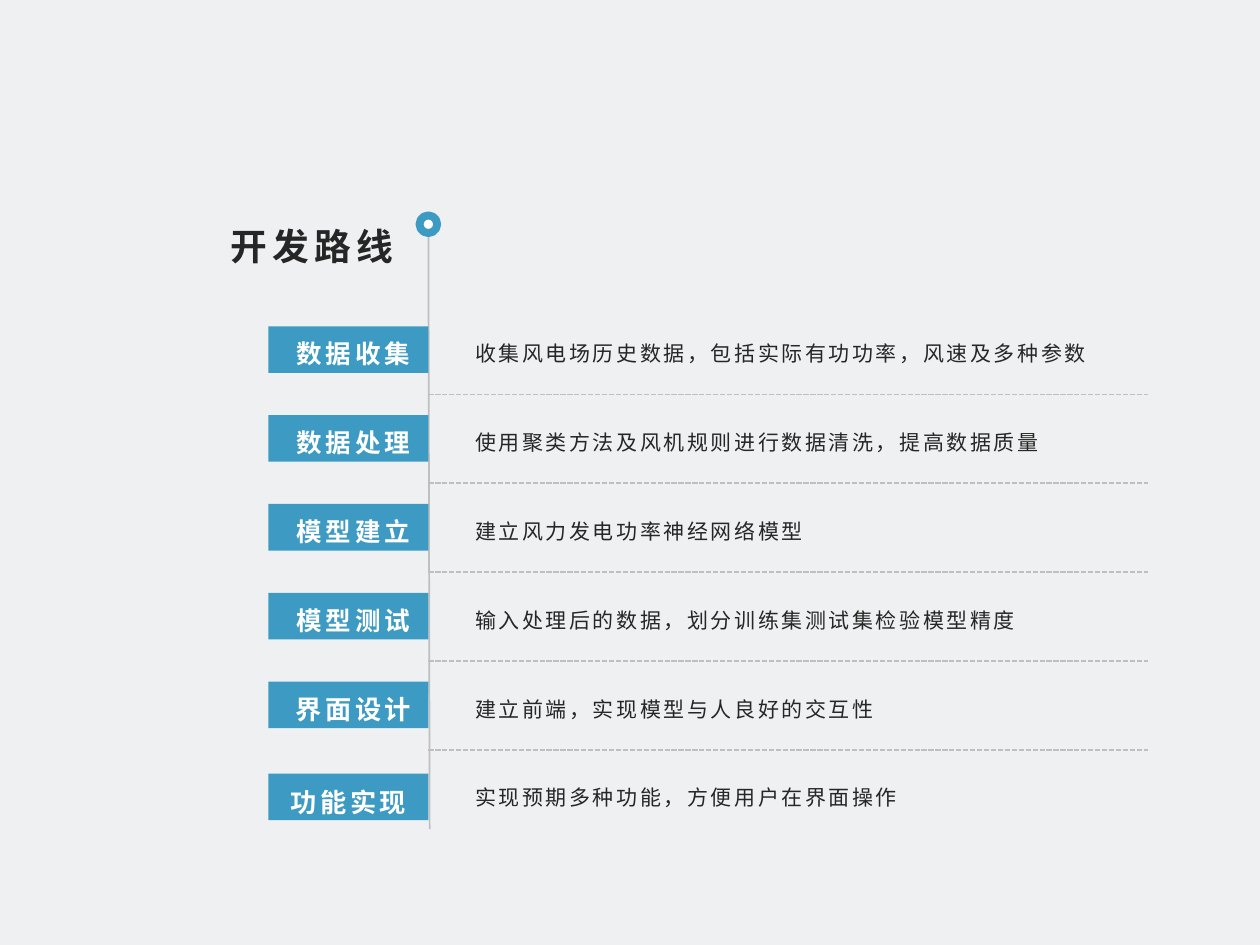
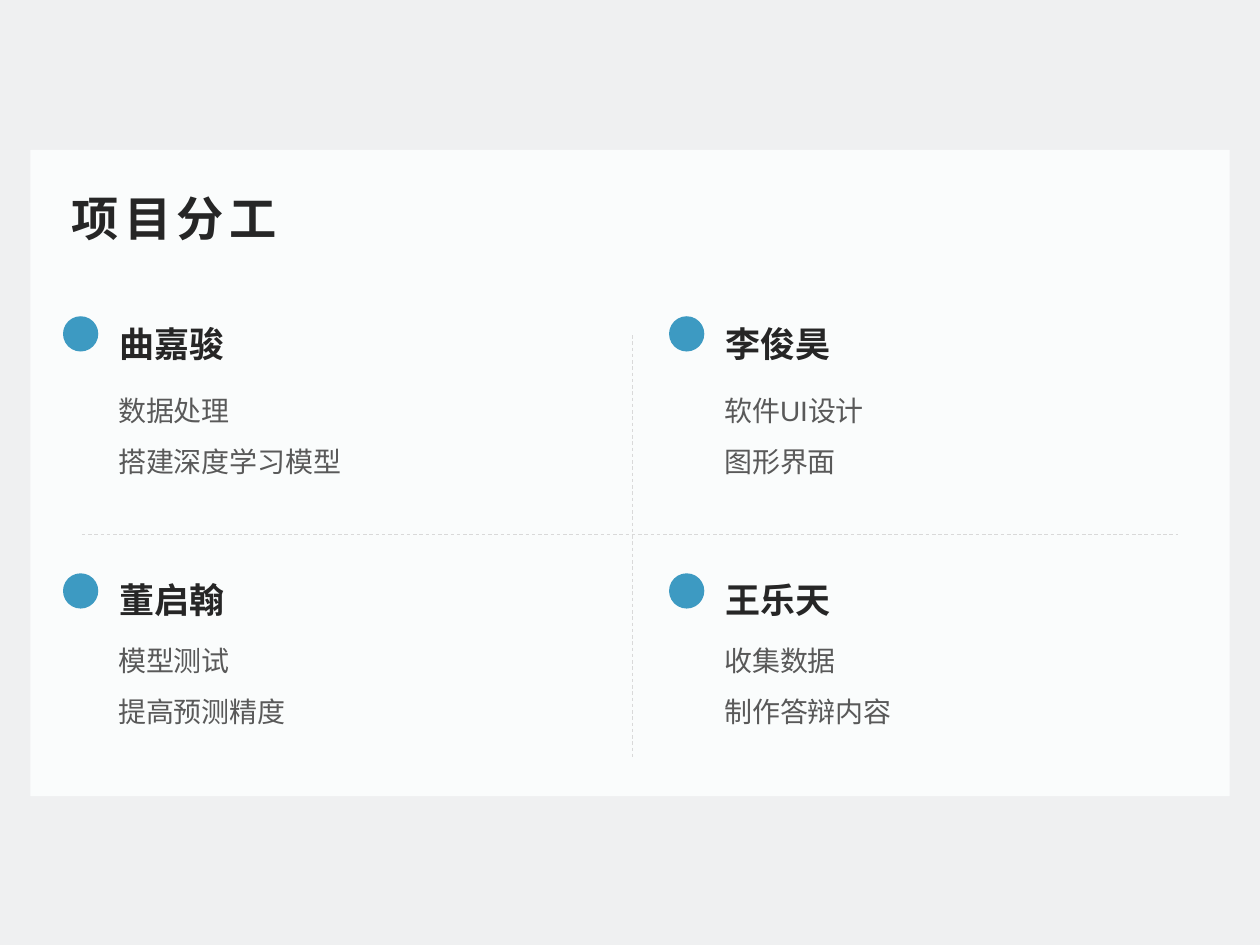
from dataclasses import dataclass
from itertools import product

from lxml.etree import SubElement
from pptx import Presentation
from pptx.dml.color import RGBColor
from pptx.enum.dml import MSO_LINE_DASH_STYLE as Dash
from pptx.enum.shapes import MSO_CONNECTOR, MSO_SHAPE as Shape
from pptx.enum.text import MSO_ANCHOR as Anchor, MSO_AUTO_SIZE, PP_ALIGN as Align
from pptx.oxml.ns import qn
from pptx.util import Inches, Pt

FONT = "Arial"
BLUE, INK, GREY, WHITE = "3D9AC2", "262626", "595959", "FFFFFF"
BACKGROUND, PANEL, RULE, FAINT = "EFF0F1", "FAFCFC", "BFBFBF", "D9D9D9"
COLUMNS, ROWS = 100, 75
WIDE_INSETS, SLIM_INSETS = (1, 0.5), (0.7, 0.4)
TITLE_ONLY = 5


@dataclass
class TextStyle:
    size: float
    color: str = INK
    bold: bool = False
    spacing: float = 0
    align: Align = Align.LEFT
    line_spacing: float = 1
    space_before: float = 0


def paint(color_format, hex_color):
    color_format.rgb = RGBColor.from_string(hex_color)


class SlideBuilder:
    """Draws on the current slide; lengths are columns and rows of its grid."""

    def __init__(self):
        self.deck = Presentation()
        self.deck.slide_width, self.deck.slide_height = Inches(10), Inches(7.5)
        self.column = self.deck.slide_width / COLUMNS
        self.row = self.deck.slide_height / ROWS
        self.page = None

    def new_page(self):
        layout = self.deck.slide_layouts[TITLE_ONLY]
        self.page = self.deck.slides.add_slide(layout)
        fill = self.page.background.fill
        fill.solid()
        paint(fill.fore_color, BACKGROUND)

    def place(self, left, top, width, height):
        return (round(left * self.column), round(top * self.row),
                round(width * self.column), round(height * self.row))

    def fill_text(self, box, lines, style, anchor, insets):
        frame = box.text_frame
        frame.word_wrap = True
        frame.auto_size = MSO_AUTO_SIZE.NONE
        frame.vertical_anchor = anchor
        frame.margin_left = frame.margin_right = round(insets[0] * self.column)
        frame.margin_top = frame.margin_bottom = round(insets[1] * self.row)
        for index, line in enumerate(lines):
            para = frame.add_paragraph() if index else frame.paragraphs[0]
            para.alignment = style.align
            para.line_spacing = style.line_spacing
            para.space_before = Pt(style.space_before if index else 0)
            span = para.add_run()
            span.text = line
            span.font.name = FONT
            span.font.size = Pt(style.size)
            span.font.bold = style.bold
            paint(span.font.color, style.color)
            if style.spacing:
                span.font._element.set("spc", str(round(style.spacing * 100)))

    def title(self, wording, area, style, anchor):
        """Format the title placeholder and bring it to the front."""
        box = self.page.shapes.title
        box.left, box.top, box.width, box.height = self.place(*area)
        self.fill_text(box, [wording], style, anchor, SLIM_INSETS)
        box.element.getparent().append(box.element)

    def text(self, lines, area, style, anchor=Anchor.TOP, insets=WIDE_INSETS):
        box = self.page.shapes.add_textbox(*self.place(*area))
        self.fill_text(box, lines, style, anchor, insets)

    def shape(self, kind, area, fill, outline=None, outline_width=0):
        shape = self.page.shapes.add_shape(kind, *self.place(*area))
        shape.shadow.inherit = False
        shape.fill.solid()
        paint(shape.fill.fore_color, fill)
        if outline:
            paint(shape.line.color, outline)
            shape.line.width = Pt(outline_width)
        else:
            shape.line.fill.background()
        return shape

    def line(self, start, end, color, width, dash=None):
        line = self.page.shapes.add_connector(
            MSO_CONNECTOR.STRAIGHT, *self.place(*start, *end))
        paint(line.line.color, color)
        line.line.width = Pt(width)
        if dash:
            line.line.dash_style = dash
        SubElement(line._element.spPr, qn("a:effectLst"))


def label_style(size):
    return TextStyle(size, WHITE, True, 2, Align.CENTER, 1.3)


def build_roadmap(builder):
    steps = [
        ("数据收集", "收集风电场历史数据，包括实际有功功率，风速及多种参数", 14.6),
        ("数据处理", "使用聚类方法及风机规则进行数据清洗，提高数据质量", 14.6),
        ("模型建立", "建立风力发电功率神经网络模型", 14.6),
        ("模型测试", "输入处理后的数据，划分训练集测试集检验模型精度", 14.6),
        ("界面设计", "建立前端，实现模型与人良好的交互性", 15),
        ("功能实现", "实现预期多种功能，方便用户在界面操作", 15),
    ]
    pitch, axis = 7.05, 34
    description = TextStyle(12, spacing=1.5, line_spacing=1.3)

    builder.new_page()
    builder.title("开发路线", (8.9, 16.3, 23, 9.5),
                  TextStyle(21, INK, True, 3, Align.RIGHT, 1.3), Anchor.TOP)
    builder.line((axis, 17.1), (axis + 0.1, 65.8), RULE, 1)
    for index, (label, detail, size) in enumerate(steps):
        shift = index * pitch
        last = index == len(steps) - 1
        badge_top = 25.9 + shift + (0.25 if last else 0)
        badge = builder.shape(Shape.RECTANGLE, (21.3, badge_top, 12.7, 3.7), BLUE)
        if last:
            builder.fill_text(badge, [label], label_style(size),
                              Anchor.MIDDLE, WIDE_INSETS)
        else:
            builder.text([label], (21.5, 25.3 + shift, 13.1, 4.8),
                         label_style(size), Anchor.MIDDLE, SLIM_INSETS)
            builder.line((axis, 31.3 + shift), (91.1, 31.3 + shift),
                         RULE, 1, Dash.SQUARE_DOT)
        builder.text([detail], (37, 25.1 + shift, 51.2, 5.3),
                     description, Anchor.MIDDLE, SLIM_INSETS)
    builder.shape(Shape.OVAL, (axis - 0.7, 17.1, 1.4, 1.4), WHITE, BLUE, 4.5)


def build_team(builder):
    members = [
        ("曲嘉骏", ["数据处理", "搭建深度学习模型"]),
        ("李俊昊", ["软件UI设计", "图形界面"]),
        ("董启翰", ["模型测试", "提高预测精度"]),
        ("王乐天", ["收集数据", "制作答辩内容"]),
    ]
    # Tops of the dot, the name and the tasks in each row of members
    member_rows = [(25.1, 25.1, 30.7), (45.5, 45.4, 50.6)]
    member_columns = [5, 53.1]
    name_style = TextStyle(20, INK, True)
    task_style = TextStyle(16, GREY, space_before=10)

    builder.new_page()
    builder.shape(Shape.RECTANGLE, (2.4, 11.9, 95.2, 51.3), PANEL)
    builder.line((6.5, 42.4), (93.5, 42.4), FAINT, 0.5, Dash.DASH)
    builder.line((50.2, 26.6), (50.2, 60.1), FAINT, 0.5, Dash.DASH)
    cells = product(member_rows, member_columns)
    for (name, tasks), (tops, left) in zip(members, cells):
        dot_top, name_top, tasks_top = tops
        builder.text(tasks, (left + 3.4, tasks_top, 38.3, 11.5), task_style)
        builder.text([name], (left + 3.5, name_top, 38.3, 3.3), name_style)
        builder.shape(Shape.OVAL, (left, dot_top, 2.8, 2.8), BLUE)
    builder.title("项目分工", (5, 14.4, 90, 5.8),
                  TextStyle(27, INK, True, 3), Anchor.MIDDLE)


def main():
    builder = SlideBuilder()
    build_roadmap(builder)
    build_team(builder)
    builder.deck.save("out.pptx")


if __name__ == "__main__":
    main()
